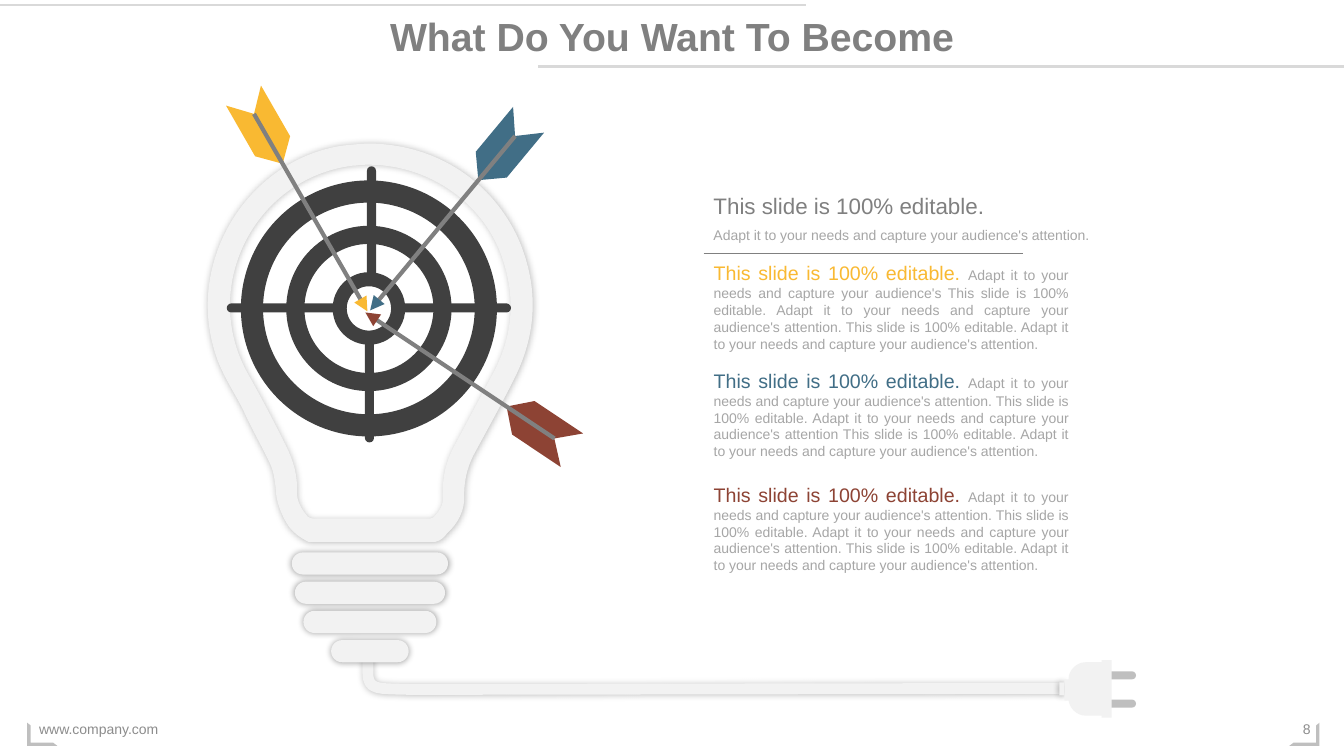
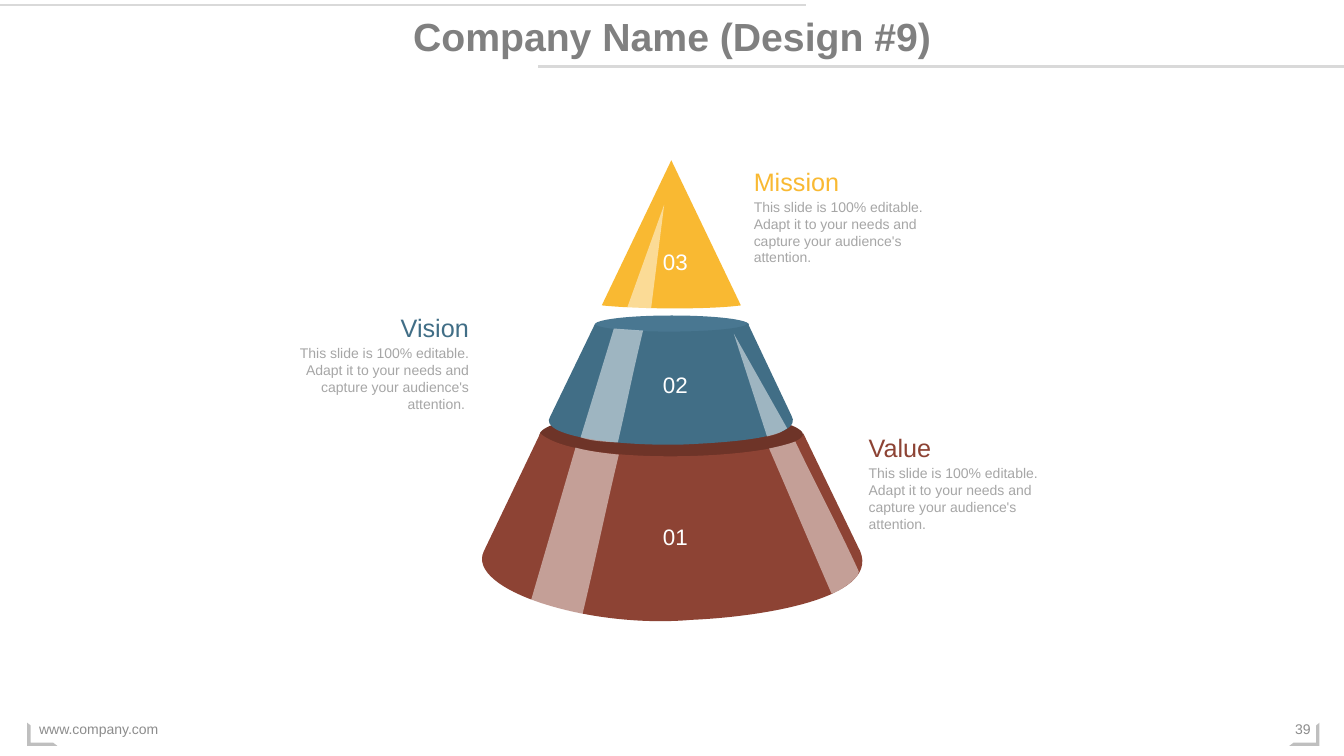
from math import hypot

from lxml import etree
from pptx import Presentation
from pptx.dml.color import RGBColor
from pptx.enum.shapes import MSO_CONNECTOR, MSO_SHAPE
from pptx.enum.text import MSO_ANCHOR, MSO_AUTO_SIZE, PP_ALIGN
from pptx.oxml.ns import qn
from pptx.util import Inches, Pt

STRAIGHT = MSO_CONNECTOR.STRAIGHT
RECTANGLE, PILL = MSO_SHAPE.RECTANGLE, MSO_SHAPE.ROUNDED_RECTANGLE
ELLIPSE, RING, CORNER = MSO_SHAPE.OVAL, MSO_SHAPE.DONUT, MSO_SHAPE.HALF_FRAME
LEFT, CENTER, RIGHT, JUSTIFY = PP_ALIGN.LEFT, PP_ALIGN.CENTER, PP_ALIGN.RIGHT, PP_ALIGN.JUSTIFY
TOP, MIDDLE = MSO_ANCHOR.TOP, MSO_ANCHOR.MIDDLE
FIXED_SIZE = MSO_AUTO_SIZE.NONE
TITLE_AND_BODY, TITLE_ONLY = 1, 5

YELLOW = RGBColor(0xF9, 0xB9, 0x32)
BLUE = RGBColor(0x41, 0x6E, 0x86)
BLUE_TOP = RGBColor(0x49, 0x77, 0x91)
RED = RGBColor(0x8D, 0x43, 0x34)
RED_TOP = RGBColor(0x6E, 0x34, 0x28)
WHITE = RGBColor(0xFF, 0xFF, 0xFF)
BULB_GRAY = RGBColor(0xF2, 0xF2, 0xF2)
RULE_GRAY = RGBColor(0xD9, 0xD9, 0xD9)
FRAME_GRAY = RGBColor(0xBF, 0xBF, 0xBF)
BODY_GRAY = RGBColor(0xA6, 0xA6, 0xA6)
FOOTER_GRAY = RGBColor(0x8C, 0x8C, 0x8C)
TITLE_GRAY = RGBColor(0x80, 0x80, 0x80)
TARGET_GRAY = RGBColor(0x40, 0x40, 0x40)

FONT = "Arial"
SLIDE_WIDTH = 40 / 3
CURVE_STEPS = 16
EDITABLE = "This slide is 100% editable."
ADAPT = "Adapt it to your needs and capture your audience's"
ADAPT_FULL = f"{ADAPT} attention."
NOTE = f"{EDITABLE} {ADAPT_FULL}"


def flatten(contour):
    """Turn a start point, line ends (x, y) and cubic curves (6 numbers) into points in EMU."""
    points = [contour[0]]
    for step in contour[1:]:
        if len(step) == 2:
            points.append(step)
            continue
        x0, y0 = points[-1]
        x1, y1, x2, y2, x3, y3 = step
        for i in range(1, CURVE_STEPS + 1):
            t = i / CURVE_STEPS
            a, b, c, d = (1 - t) ** 3, 3 * t * (1 - t) ** 2, 3 * t * t * (1 - t), t ** 3
            points.append((a * x0 + b * x1 + c * x2 + d * x3,
                           a * y0 + b * y1 + c * y2 + d * y3))
    return [(Inches(x), Inches(y)) for x, y in points]


def restore_curves(shape, contours, closed):
    """Replace the flattened segments of a freeform by true cubic curves."""
    geometry = shape._element.spPr.find(f".//{qn('a:path')}")
    for segment in list(geometry):
        geometry.remove(segment)
    for contour in contours:
        for i, step in enumerate(contour):
            tag = "a:moveTo" if i == 0 else "a:lnTo" if len(step) == 2 else "a:cubicBezTo"
            segment = etree.SubElement(geometry, qn(tag))
            for x, y in zip(step[::2], step[1::2]):
                etree.SubElement(segment, qn("a:pt"), x=str(Inches(x) - shape.left),
                                 y=str(Inches(y) - shape.top))
        if closed:
            etree.SubElement(geometry, qn("a:close"))


def add_run(paragraph, text, size, color, bold=False):
    run = paragraph.add_run()
    run.text = text
    run.font.name, run.font.size, run.font.bold = FONT, Pt(size), bold
    run.font.color.rgb = color


class Deck:
    def __init__(self):
        self.prs = Presentation()
        self.prs.slide_width, self.prs.slide_height = Inches(SLIDE_WIDTH), Inches(7.5)
        self.slide = None

    def new_slide(self, title, number, layout=TITLE_ONLY):
        self.slide = self.prs.slides.add_slide(self.prs.slide_layouts[layout])
        self.line((0, 0.05), (8, 0.05), RULE_GRAY, 1.5)
        self.line((5.34, 0.66), (SLIDE_WIDTH, 0.66), RULE_GRAY, 1.5)
        for left, mirrored in ((12.79, False), (0.27, True)):
            corner = self.shape(CORNER, left, 7.17, 0.3, 0.23, FRAME_GRAY, adjust=(0.14, 0.15))
            corner.rotation = 180
            if mirrored:
                corner._element.spPr.xfrm.set("flipH", "1")
        self.text("www.company.com", 0.29, 7.03, 4.5, 0.4, color=FOOTER_GRAY, anchor=MIDDLE)
        self.text(number, 12.68, 7.03, 0.42, 0.4, color=FOOTER_GRAY, align=RIGHT, anchor=MIDDLE)
        self.text(title, 0, 0.07, SLIDE_WIDTH, 0.57, holder=self.slide.shapes.title, size=28,
                  color=TITLE_GRAY, bold=True, align=CENTER, anchor=MIDDLE)

    def frame(self, holder, left, top, width, height, anchor=TOP):
        holder.left, holder.top = Inches(left), Inches(top)
        holder.width, holder.height = Inches(width), Inches(height)
        frame = holder.text_frame
        frame.word_wrap, frame.auto_size, frame.vertical_anchor = True, FIXED_SIZE, anchor
        return frame

    def text(self, text, left, top, width, height, holder=None, size=10, color=BODY_GRAY,
             bold=False, align=LEFT, anchor=TOP):
        holder = holder or self.slide.shapes.add_textbox(0, 0, 0, 0)
        paragraph = self.frame(holder, left, top, width, height, anchor).paragraphs[0]
        paragraph.alignment = align
        add_run(paragraph, text, size, color, bold)

    def body(self, entries, left, top, width, height):
        """Fill the body placeholder with (heading, colour, text, space before) entries."""
        frame = self.frame(self.slide.placeholders[1], left, top, width, height)
        for i, (heading, color, text, space) in enumerate(entries):
            paragraph = frame.add_paragraph() if i else frame.paragraphs[0]
            properties = paragraph._p.get_or_add_pPr()
            properties.set("marL", "0")
            properties.set("indent", "0")
            etree.SubElement(properties, qn("a:buNone"))
            paragraph.alignment, paragraph.space_before = JUSTIFY, Pt(space)
            add_run(paragraph, f"{heading} ", 14, color)
            add_run(paragraph, text, 10, BODY_GRAY)

    def caption(self, heading, color, left, top, align=LEFT, note=NOTE):
        self.text(heading, left, top, 2.26, 0.4, size=18, color=color, align=align)
        self.text(note, left, top + 0.32, 2.26, 0.77, align=align)

    def line(self, start, end, color, width):
        line = self.slide.shapes.add_connector(STRAIGHT, *map(Inches, start + end))
        line.line.color.rgb, line.line.width = color, Pt(width)
        etree.SubElement(line._element.spPr, qn("a:effectLst"))

    def paint(self, shape, fill, opacity=None, line=None, line_width=0.75, glow=None):
        """Set fill and line; glow is the opacity in percent of a soft shadow all round."""
        shape.shadow.inherit = False
        if fill is None:
            shape.fill.background()
        else:
            shape.fill.solid()
            shape.fill.fore_color.rgb = fill
        if line is None:
            shape.line.fill.background()
        else:
            shape.line.color.rgb, shape.line.width = line, Pt(line_width)
        properties = shape._element.spPr
        if opacity:
            tint = properties.find(qn("a:solidFill"))[0]
            etree.SubElement(tint, qn("a:alpha"), val=str(opacity * 1000))
        if glow:
            shadow = etree.SubElement(properties.find(qn("a:effectLst")), qn("a:outerShdw"),
                                      blurRad=str(Pt(5)), dist="0", dir="0", algn="ctr")
            black = etree.SubElement(shadow, qn("a:srgbClr"), val="000000")
            etree.SubElement(black, qn("a:alpha"), val=str(glow * 1000))
        return shape

    def shape(self, kind, left, top, width, height, fill, adjust=(), **style):
        shape = self.slide.shapes.add_shape(kind, *map(Inches, (left, top, width, height)))
        for i, value in enumerate(adjust):
            shape.adjustments[i] = value
        return self.paint(shape, fill, **style)

    def pill(self, left, top, width, height, fill, **style):
        self.shape(PILL, left, top, width, height, fill, adjust=(0.5,), **style)

    def outline(self, *contours, fill=None, closed=True, **style):
        builder = None
        for contour in contours:
            start, *rest = flatten(contour)
            if builder is None:
                builder = self.slide.shapes.build_freeform(*start, scale=1.0)
            else:
                builder.move_to(*start)
            builder.add_line_segments(rest, close=closed)
        shape = builder.convert_to_shape()
        restore_curves(shape, contours, closed)
        self.paint(shape, fill, **style)

    def arrow(self, tail, tip, color):
        """Draw a feathered arrow; its parts are laid out along the shaft."""
        dx, dy = tip[0] - tail[0], tip[1] - tail[1]
        length = hypot(dx, dy)
        ux, uy = dx / length, dy / length

        def along(origin, points):
            return [(origin[0] + u * ux - v * uy, origin[1] + u * uy + v * ux)
                    for u, v in points]

        feather = [(-0.21, -0.2), (0, 0), (-0.21, 0.2), (0.37, 0.2), (0.57, 0), (0.37, -0.2)]
        self.outline(along(tail, feather), fill=color)
        self.line(tail, tip, TITLE_GRAY, 3)
        self.outline(along(tip, [(0.09, 0), (-0.05, 0.07), (-0.05, -0.07)]), fill=color)


def draw_bulb(deck):
    inside = [
        (3.61, 1.63), (3.57, 1.63, 3.53, 1.64, 3.49, 1.64), (2.51, 1.77, 1.97, 2.86, 2.46, 3.72),
        (2.59, 3.95, 2.71, 4.18, 2.83, 4.42), (2.9, 4.56, 2.95, 4.71, 2.94, 4.88),
        (2.94, 4.98, 2.99, 5.06, 3.05, 5.13), (3.07, 5.14, 3.08, 5.15, 3.1, 5.15), (4.27, 5.15),
        (4.28, 5.15, 4.29, 5.14, 4.3, 5.14), (4.36, 5.08, 4.41, 5.01, 4.4, 4.92),
        (4.39, 4.74, 4.43, 4.58, 4.51, 4.43), (4.64, 4.19, 4.77, 3.94, 4.9, 3.7),
        (5.08, 3.36, 5.12, 3, 5.01, 2.63), (4.84, 2.02, 4.25, 1.61, 3.61, 1.63)]
    outside = [
        (3.68, 1.43), (4.32, 1.44, 4.89, 1.8, 5.15, 2.4), (5.34, 2.86, 5.32, 3.31, 5.1, 3.75),
        (4.97, 4.01, 4.83, 4.26, 4.69, 4.52), (4.63, 4.64, 4.6, 4.77, 4.6, 4.91),
        (4.61, 5.06, 4.54, 5.19, 4.43, 5.29), (4.41, 5.32, 4.37, 5.36, 4.32, 5.37), (3.06, 5.37),
        (3, 5.34, 2.9, 5.28, 2.85, 5.19), (2.8, 5.11, 2.74, 4.97, 2.74, 4.84),
        (2.73, 4.76, 2.72, 4.67, 2.68, 4.59), (2.6, 4.42, 2.5, 4.25, 2.42, 4.07),
        (2.32, 3.87, 2.19, 3.69, 2.13, 3.47), (1.86, 2.57, 2.47, 1.59, 3.4, 1.45),
        (3.5, 1.44, 3.59, 1.43, 3.68, 1.43)]
    deck.outline(inside, outside, fill=BULB_GRAY, line=BULB_GRAY, glow=25)

    cord = [(3.65, 6.53), (3.65, 6.6, 3.65, 6.59, 3.65, 6.67),
            (3.65, 6.85, 3.74, 6.83, 4.07, 6.84), (10.52, 6.83)]
    deck.outline(cord, closed=False, line=BULB_GRAY, line_width=7.75, glow=25)

    for prong_top in (6.66, 6.94):
        deck.pill(10.98, prong_top, 0.29, 0.08, FRAME_GRAY)
    deck.shape(RECTANGLE, 10.51, 6.77, 0.05, 0.13, BULB_GRAY, glow=40)
    deck.shape(RECTANGLE, 10.56, 6.74, 0.06, 0.21, BULB_GRAY)
    plug = [(10.77, 6.57), (10.95, 6.57), (10.95, 7.1), (10.77, 7.1),
            (10.68, 7.1, 10.6, 7.02, 10.6, 6.93), (10.6, 6.74),
            (10.6, 6.65, 10.68, 6.57, 10.77, 6.57)]
    deck.outline(plug, fill=BULB_GRAY)
    deck.shape(RECTANGLE, 10.93, 6.55, 0.1, 0.57, BULB_GRAY)

    for i, width in enumerate((1.55, 1.49, 1.32, 0.77)):
        deck.pill(3.67 - width / 2, 5.48 + 0.29 * i, width, 0.22, BULB_GRAY, glow=40)


def draw_target(deck):
    x, y = 3.66, 3.06
    for outer, inner in ((1.27, 1.05), (0.82, 0.64), (0.36, 0.22)):
        deck.shape(RING, x - outer, y - outer, 2 * outer, 2 * outer, TARGET_GRAY,
                   adjust=((outer - inner) / (2 * outer),))
    for arm in ((2.25, 3.01, 1.13, 0.09), (3.94, 3.01, 1.13, 0.09),
                (3.64, 1.65, 0.09, 1.13), (3.62, 3.33, 0.09, 1.06)):
        deck.pill(*arm, TARGET_GRAY)
    deck.arrow((5.11, 1.35), (3.73, 3.01), BLUE)
    deck.arrow((2.52, 1.13), (3.6, 3.01), YELLOW)
    deck.arrow((5.5, 4.35), (3.7, 3.15), RED)


def draw_pyramid(deck):
    deck.shape(ELLIPSE, 5.35, 4.08, 2.62, 0.48, RED_TOP)
    deck.outline([(5.36, 4.3), (5.77, 4.66, 7.99, 4.54, 7.97, 4.3), (8.51, 5.42),
                  (8.81, 5.93, 7.56, 6.12, 6.86, 6.15), (5.84, 6.24, 4.62, 5.85, 4.8, 5.47)],
                 fill=RED)
    deck.shape(ELLIPSE, 5.9, 3.13, 1.53, 0.18, BLUE_TOP)
    deck.outline([(5.9, 3.22), (6.05, 3.32, 7.35, 3.31, 7.42, 3.21), (7.85, 4.12),
                  (7.99, 4.35, 7.2, 4.39, 6.79, 4.41), (6.15, 4.43, 5.32, 4.33, 5.46, 4.13)],
                 fill=BLUE)
    deck.outline([(5.97, 3.03), (6.66, 1.59), (7.35, 3.03),
                  (7.06, 3.07, 6.36, 3.07, 5.97, 3.03)], fill=YELLOW)

    reflections = [
        [(5.71, 4.44), (5.85, 4.48, 6.04, 4.5, 6.14, 4.51), (6.02, 5.01, 5.9, 5.59, 5.78, 6.09),
         (5.65, 6.07, 5.38, 6.01, 5.27, 5.95)],
        [(6.09, 3.26), (6.38, 3.28), (6.26, 3.78, 6.26, 3.82, 6.13, 4.39),
         (5.92, 4.38, 5.86, 4.37, 5.76, 4.34)],
        [(6.59, 2.03), (6.46, 3.06), (6.22, 3.06)],
        [(7.89, 4.38), (7.81, 4.41, 7.72, 4.43, 7.63, 4.45), (7.77, 4.77, 8.11, 5.57, 8.25, 5.89),
         (8.36, 5.85, 8.52, 5.73, 8.52, 5.67), (8.32, 5.23, 8.1, 4.82, 7.89, 4.38)],
        [(7.81, 4.25), (7.28, 3.31), (7.61, 4.33), (7.75, 4.3, 7.77, 4.27, 7.81, 4.25)]]
    for reflection in reflections:
        deck.outline(reflection, fill=WHITE, opacity=49)

    for level, top in (("03", 2.41), ("02", 3.63), ("01", 5.14)):
        deck.text(level, 6.38, top, 0.64, 0.37, size=16, color=WHITE, align=CENTER)


def main():
    deck = Deck()

    deck.new_slide("What Do You Want To Become", "8", TITLE_AND_BODY)
    deck.body([(EDITABLE, YELLOW, f"{ADAPT} {NOTE} {NOTE} ", 0),
               (EDITABLE, BLUE, f"{ADAPT_FULL} {EDITABLE} {ADAPT} attention {NOTE}", 12),
               (EDITABLE, RED, f"{ADAPT_FULL} {NOTE} {NOTE} ", 16.5)],
              6.98, 2.54, 3.72, 3.24)
    deck.line((6.98, 2.51), (10.15, 2.51), TITLE_GRAY, 0.5)
    deck.text(ADAPT_FULL, 6.98, 2.2, 4.29, 0.27)
    deck.text(EDITABLE, 6.98, 1.86, 3.42, 0.37, size=16, color=TITLE_GRAY)
    draw_bulb(deck)
    draw_target(deck)

    deck.new_slide("Company Name (Design #9)", "39")
    deck.caption("Value", RED, 8.52, 4.24)
    deck.caption("Mission", YELLOW, 7.38, 1.6)
    deck.caption("Vision", BLUE, 2.49, 3.05, RIGHT, f"{NOTE} ")
    draw_pyramid(deck)

    deck.prs.save("out.pptx")


if __name__ == "__main__":
    main()
